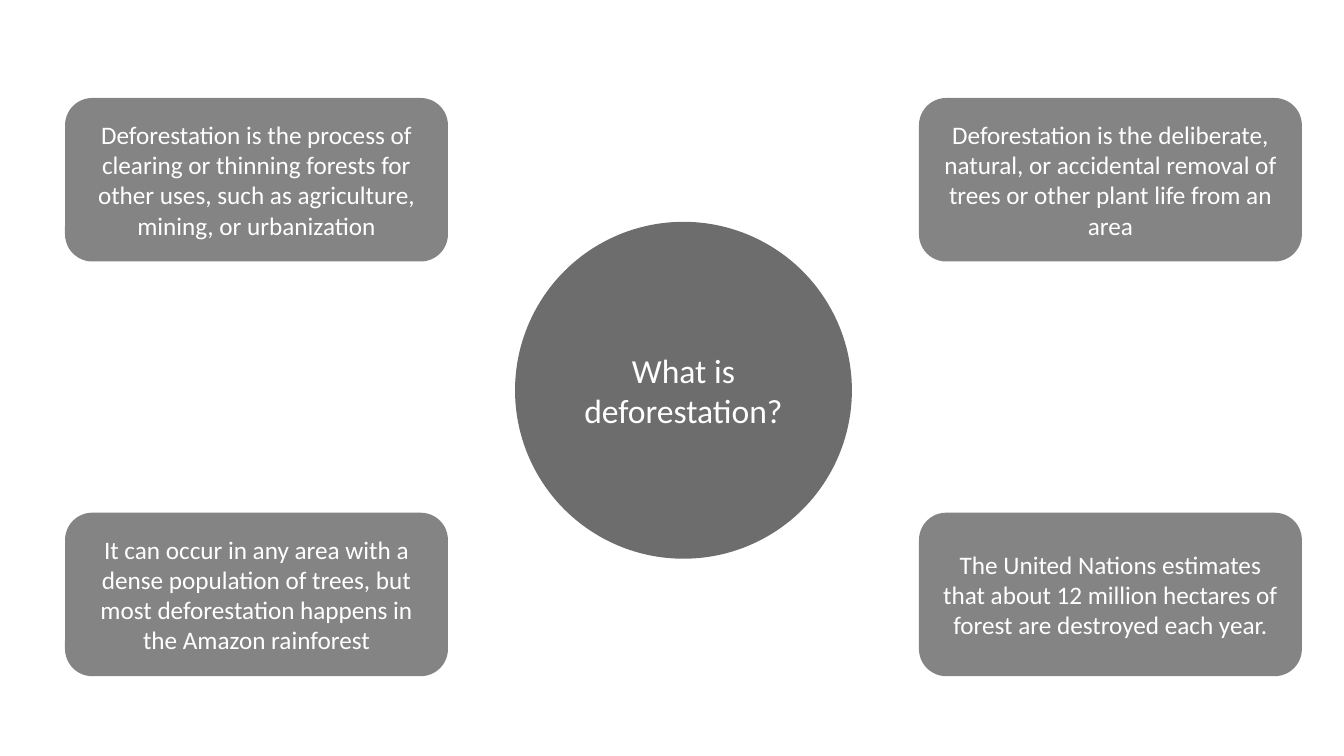
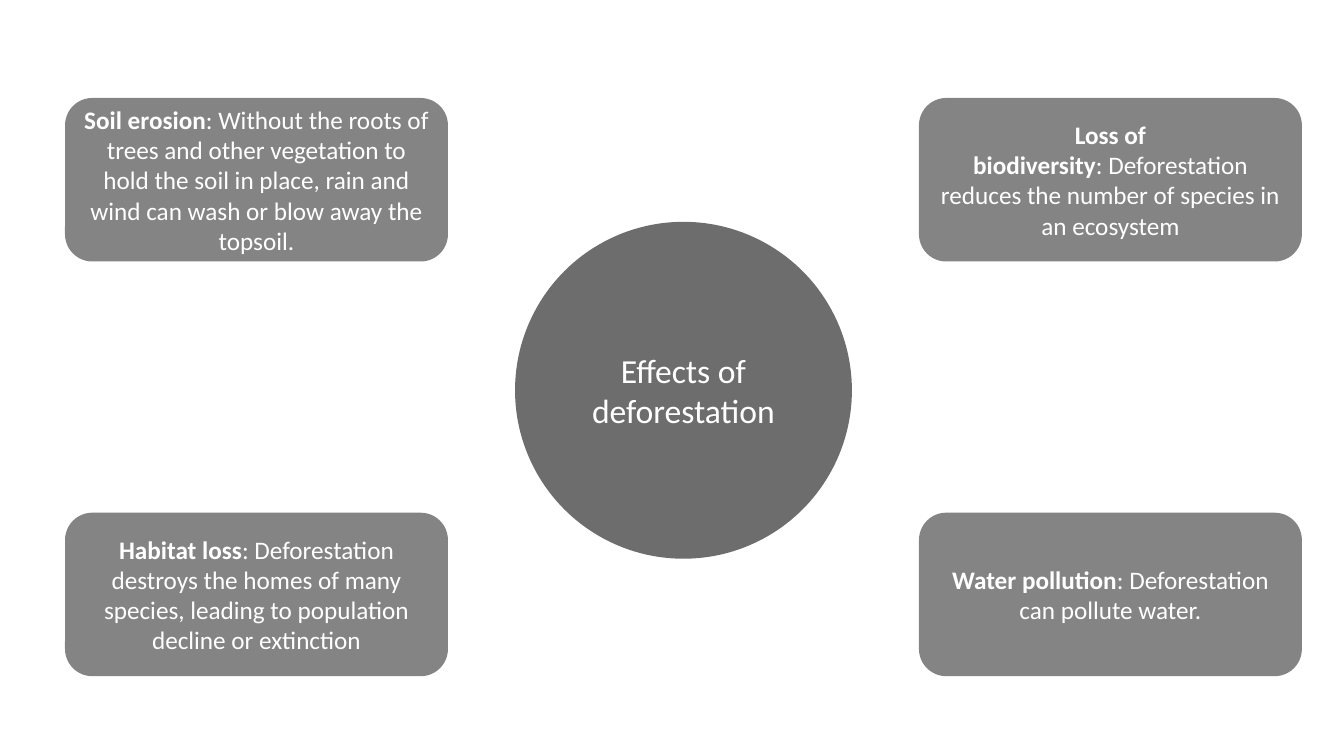
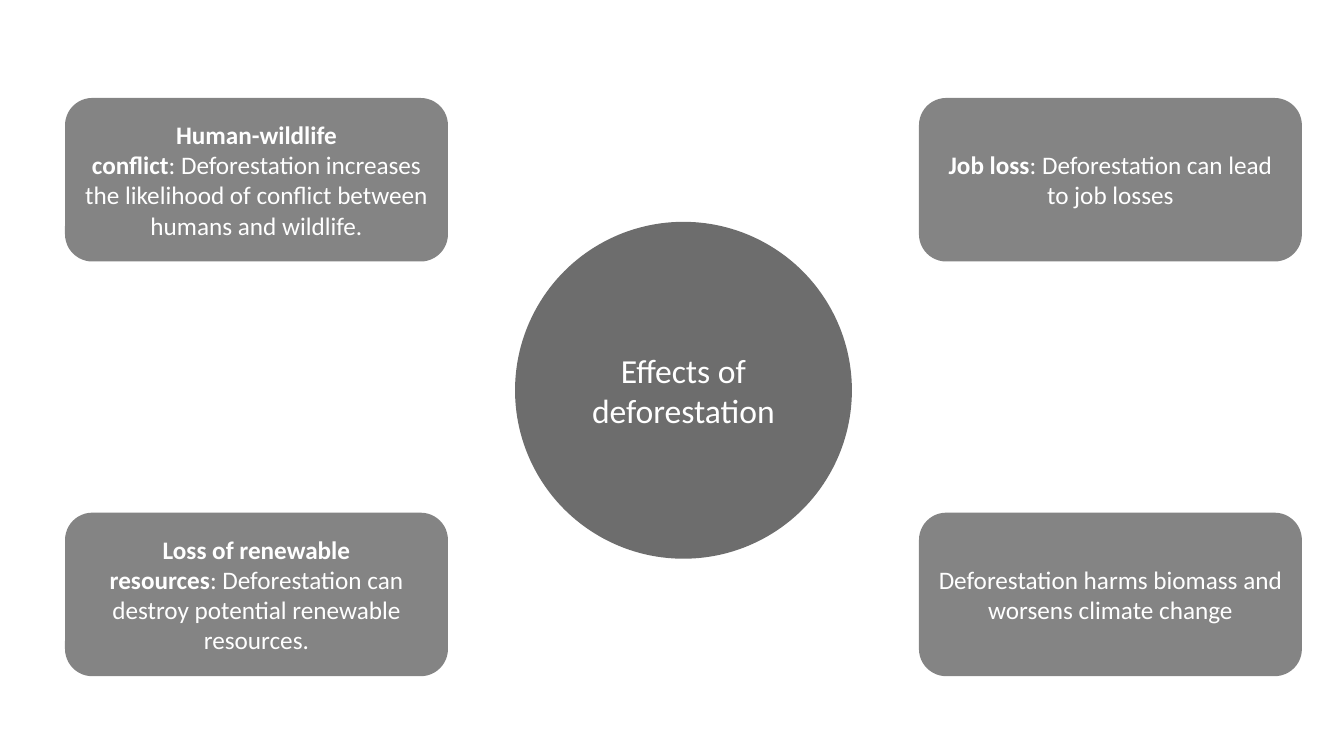
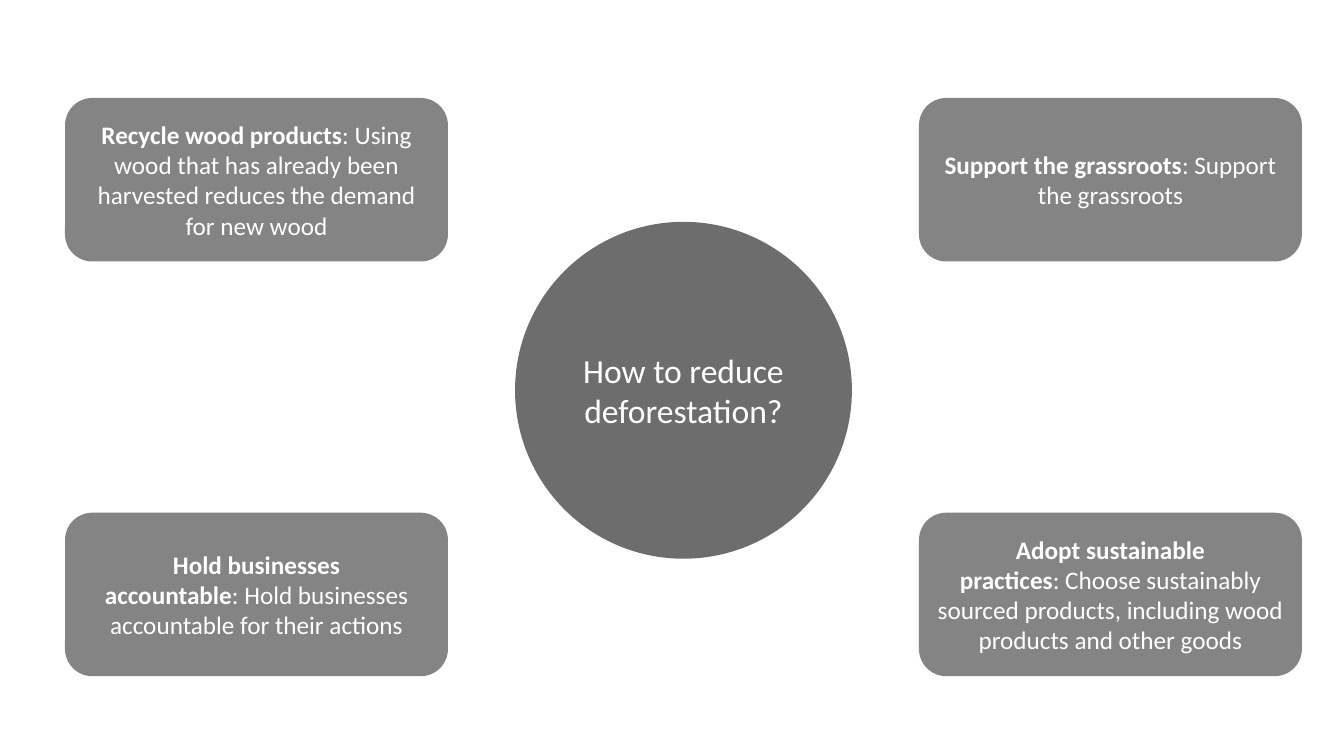
from lxml import etree
from pptx import Presentation
from pptx import util as u
from pptx.dml.color import RGBColor
from pptx.enum import shapes, text
from pptx.oxml.ns import qn

HARD_SPACE = chr(160)


def color(hex_code):
    return RGBColor.from_string(hex_code)


class Deck:
    FONT = "Calibri"
    INK = "FFFFFF"
    FILL = "404040"
    SEPARATOR = ":" + HARD_SPACE
    CARD_SIZE = (9.65, 4.12)
    COLUMNS = (1.64, 23.16)
    ROWS = (2.47, 12.92)
    TOPIC_BOX = (12.98, 5.59, 8.49, 8.49)

    def __init__(self):
        self.prs = Presentation()
        self.prs.slide_width = u.Cm(33.87)
        self.prs.slide_height = u.Cm(19.05)
        self.slide = None

    def new_slide(self):
        self.slide = self.prs.slides.add_slide(self.prs.slide_layouts[6])

    def panel(self, preset, box, opacity, size, runs):
        panel = self.slide.shapes.add_shape(preset, *(u.Cm(length) for length in box))
        panel.shadow.inherit = False
        panel.line.fill.background()
        panel.fill.solid()
        panel.fill.fore_color.rgb = color(self.FILL)
        tint = panel.fill._xPr.find(qn("a:solidFill")).find(qn("a:srgbClr"))
        etree.SubElement(tint, qn("a:alpha")).set("val", str(opacity * 1000))
        frame = panel.text_frame
        frame.word_wrap = True
        frame.vertical_anchor = text.MSO_ANCHOR.MIDDLE
        paragraph = frame.paragraphs[0]
        paragraph.alignment = text.PP_ALIGN.CENTER
        for words, bold in runs:
            run = paragraph.add_run()
            run.text = words
            run.font.name = self.FONT
            run.font.size = u.Pt(size)
            run.font.bold = bold
            run.font.color.rgb = color(self.INK)

    def topic(self, question):
        self.panel(shapes.MSO_SHAPE.FLOWCHART_CONNECTOR, self.TOPIC_BOX, 76, 24,
                   [(question, False)])

    def card(self, position, term, statement):
        row, column = divmod(position, len(self.COLUMNS))
        box = (self.COLUMNS[column], self.ROWS[row], *self.CARD_SIZE)
        runs = [(statement, False)]
        if term:
            runs = [(term, True), (self.SEPARATOR + statement, False)]
        self.panel(shapes.MSO_SHAPE.ROUNDED_RECTANGLE, box, 64, 18, runs)


TOPICS = [
    ("What is deforestation?", [
        ("", f"Deforestation is{HARD_SPACE}the process of clearing or thinning forests "
             "for other uses, such as agriculture, mining, or urbanization"),
        ("", "Deforestation is the deliberate, natural, or accidental removal of trees "
             "or other plant life from an area"),
        ("", "It can occur in any area with a dense population of trees, but most "
             "deforestation happens in the Amazon rainforest"),
        ("", "The United Nations estimates that about 12 million hectares of forest "
             "are destroyed each year."),
    ]),
    ("Effects of deforestation", [
        ("Soil erosion", "Without the roots of trees and other vegetation to hold the soil "
                         "in place, rain and wind can wash or blow away the topsoil."),
        ("Loss of biodiversity", "Deforestation reduces the number of species in an ecosystem"),
        ("Habitat loss", "Deforestation destroys the homes of many species, leading to "
                         "population decline or extinction"),
        ("Water pollution", "Deforestation can pollute water."),
    ]),
    ("Effects of deforestation", [
        ("Human-wildlife conflict", "Deforestation increases the likelihood of conflict "
                                    "between humans and wildlife."),
        ("Job loss", "Deforestation can lead to job losses"),
        ("Loss of renewable resources", "Deforestation can destroy potential renewable resources."),
        ("", "Deforestation harms biomass and worsens climate change"),
    ]),
    ("How to reduce deforestation?", [
        ("Recycle wood products", "Using wood that has already been harvested reduces "
                                  "the demand for new wood"),
        ("Support the grassroots", "Support the grassroots"),
        ("Hold businesses accountable", "Hold businesses accountable for their actions"),
        ("Adopt sustainable practices", "Choose sustainably sourced products, including "
                                        "wood products and other goods"),
    ]),
]


def main():
    deck = Deck()
    for question, answers in TOPICS:
        deck.new_slide()
        deck.topic(question)
        for position, (term, statement) in enumerate(answers):
            deck.card(position, term, statement)
    deck.prs.save("out.pptx")


if __name__ == "__main__":
    main()
